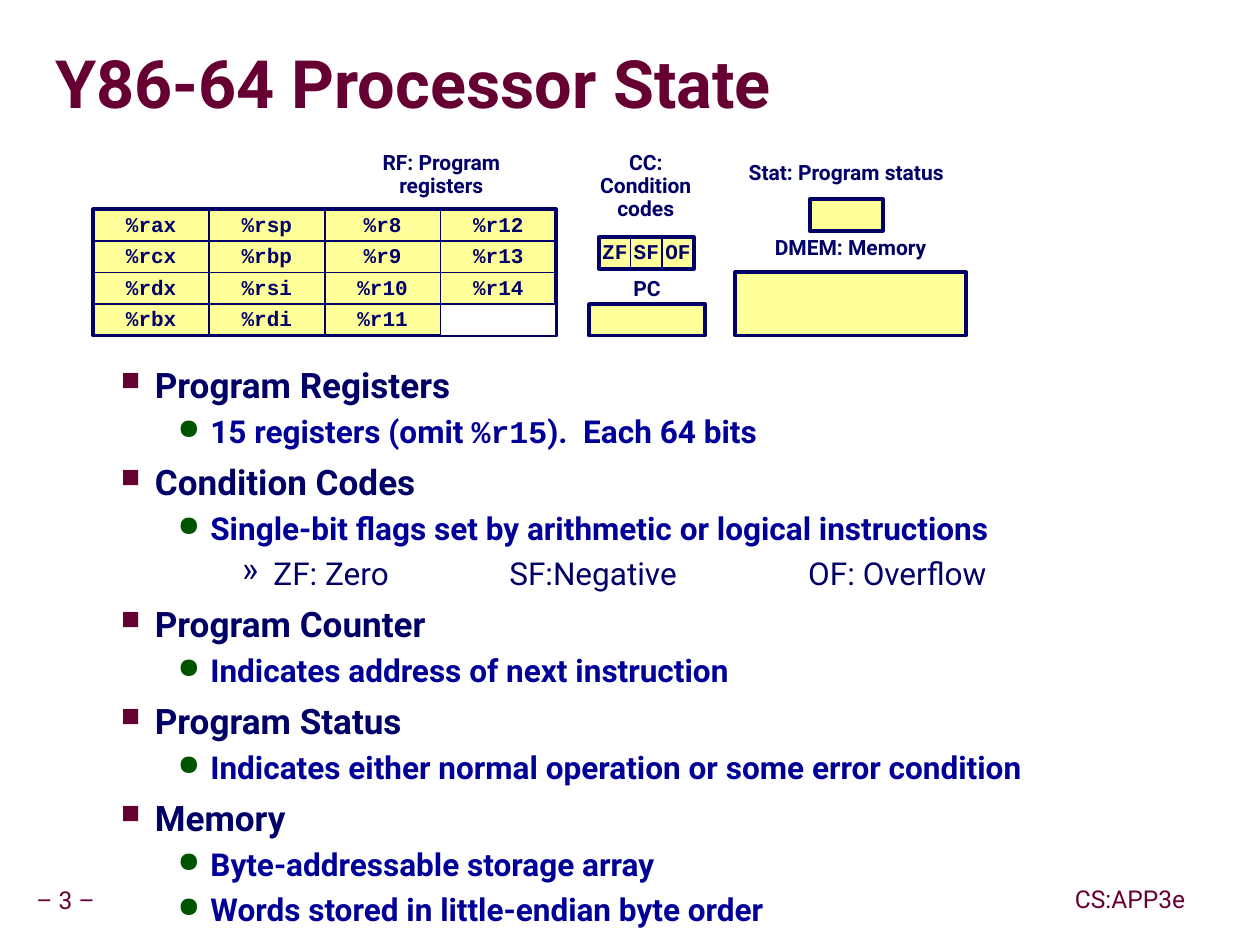
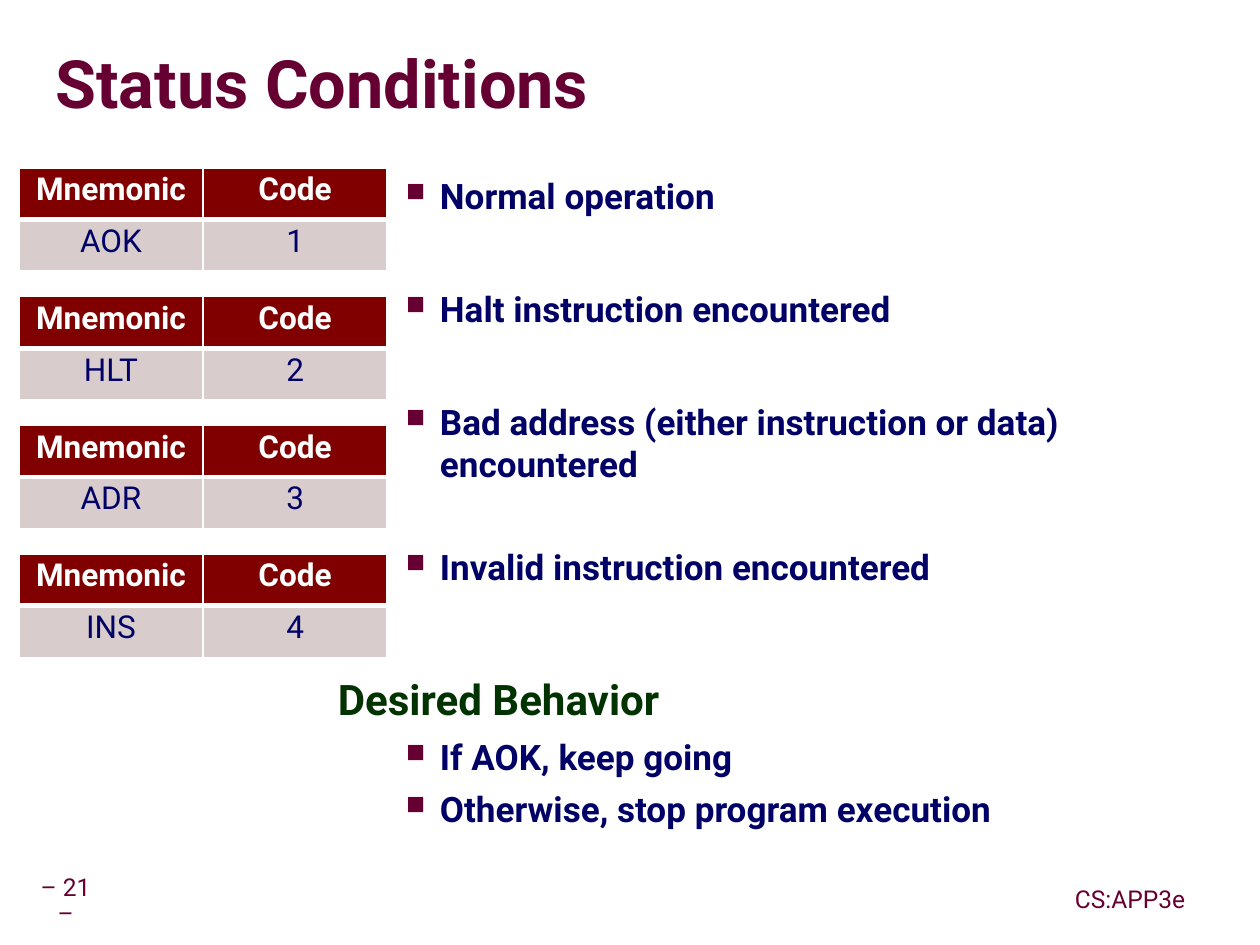
from dataclasses import dataclass
from typing import Any, NamedTuple

from lxml import etree
from pptx import Presentation
from pptx.dml.color import RGBColor
from pptx.enum.shapes import MSO_SHAPE
from pptx.enum.text import MSO_ANCHOR, PP_ALIGN
from pptx.oxml.ns import qn
from pptx.util import Inches, Pt

RECTANGLE = MSO_SHAPE.RECTANGLE
MIDDLE, TOP = MSO_ANCHOR.MIDDLE, MSO_ANCHOR.TOP
CENTER, LEFT = PP_ALIGN.CENTER, PP_ALIGN.LEFT


@dataclass(frozen=True)
class Theme:
    sans: str = "Roboto"
    mono: str = "Courier New"
    maroon: str = "660033"
    navy: str = "000066"
    blue: str = "000099"
    leaf: str = "005400"
    forest: str = "003300"
    white: str = "FFFFFF"
    yellow: str = "FFFF99"
    header: str = "800000"
    row: str = "D8CCCC"
    shadow: str = "969696"
    title_size: float = 38
    heading_size: float = 24
    item_size: float = 20
    detail_size: float = 18
    footer_size: float = 14
    label_size: float = 12


THEME = Theme()


class Frame(NamedTuple):
    left: float
    top: float
    width: float
    height: float

    def lengths(self) -> list[int]:
        return [Inches(value) for value in self]


class TextStyle(NamedTuple):
    size: float
    color: str
    bold: bool = False
    font: str = THEME.sans
    spacing: float = 0.9
    align: Any = CENTER


class Level(NamedTuple):
    style: TextStyle
    before: float
    margin: float = 0
    indent: float = 0
    bullet: str = ""
    bullet_color: str = THEME.navy
    bullet_percent: int = 100


class Item(NamedTuple):
    level: Level
    text: str
    code: str = ""
    rest: str = ""
    before: float | None = None


class Label(NamedTuple):
    text: str
    frame: Frame


TITLE = TextStyle(THEME.title_size, THEME.maroon, True, spacing=0.87, align=LEFT)
FOOTER = TextStyle(THEME.footer_size, THEME.maroon)
LABEL = TextStyle(THEME.label_size, THEME.navy, True)
CODE = LABEL._replace(font=THEME.mono)
CELL = TextStyle(THEME.detail_size, THEME.navy)
HEADER_CELL = CELL._replace(color=THEME.white, bold=True)

ITEM_STYLE = TextStyle(THEME.item_size, THEME.navy, True, spacing=1.0, align=LEFT)
DETAIL_STYLE = TextStyle(THEME.detail_size, THEME.blue, True, spacing=1.07, align=LEFT)
HEADING = Level(TextStyle(THEME.heading_size, THEME.forest, True, spacing=0.95, align=LEFT), 12)
ITEM = Level(ITEM_STYLE, 5.8, 0.81, -0.27, "■", THEME.maroon, 75)
DETAIL = Level(DETAIL_STYLE, 2.4, 1.25, -0.26, "●", THEME.leaf, 90)
NOTE = Level(ITEM_STYLE._replace(size=THEME.detail_size, bold=False), 4.2, 1.75, -0.25, "»")

# Content of the processor state slide
REGISTERS = [
    ["%rax", "%rcx", "%rdx", "%rbx"],
    ["%rsp", "%rbp", "%rsi", "%rdi"],
    ["%r8", "%r9", "%r10", "%r11"],
    ["%r12", "%r13", "%r14", ""],
]
REGISTER_FILE = Frame(0.74, 1.66, 3.67, 1)
FLAGS = ["ZF", "SF", "OF"]
FLAG_BOX = Frame(4.75, 1.88, 0.75, 0.25)
STATE_BOXES = [
    Frame(4.67, 2.41, 0.92, 0.25),
    Frame(5.83, 2.16, 1.83, 0.5),
    Frame(6.42, 1.58, 0.58, 0.25),
]
STATE_LABELS = [
    Label("RF: Program registers", Frame(2.7, 1.16, 1.6, 0.5)),
    Label("CC: Condition codes", Frame(4.58, 1.16, 1.08, 0.65)),
    Label("PC", Frame(4.67, 2.16, 0.92, 0.3)),
    Label("DMEM: Memory", Frame(5.83, 1.83, 1.83, 0.3)),
    Label("Stat: Program status", Frame(5.67, 1.24, 2.08, 0.3)),
]
STATE_ITEMS = [
    Item(ITEM, "Program Registers"),
    Item(DETAIL, "15 registers (omit ", "%r15", ").  Each 64 bits"),
    Item(ITEM, "Condition Codes"),
    Item(DETAIL, "Single-bit flags set by arithmetic or logical instructions"),
    Item(NOTE, "ZF: Zero\tSF:Negative\tOF: Overflow"),
    Item(ITEM, "Program Counter"),
    Item(DETAIL, "Indicates address of next instruction"),
    Item(ITEM, "Program Status"),
    Item(DETAIL, "Indicates either normal operation or some error condition"),
    Item(ITEM, "Memory"),
    Item(DETAIL, "Byte-addressable storage array"),
    Item(DETAIL, "Words stored in little-endian byte order"),
]
NOTE_TABS = [3.62, 5.99]

# Content of the status conditions slide
STATUS_CODES = ["AOK", "HLT", "ADR", "INS"]
STATUS_TABLE = Frame(0.15, 1.33, 2.92, 0.82)
STATUS_STEP = 1.02
STATUS_ITEMS = [
    Item(ITEM, "Normal operation"),
    Item(ITEM, "Halt instruction encountered", before=40.5),
    Item(ITEM, "Bad address (either instruction or data) encountered", before=40.5),
    Item(ITEM, "Invalid instruction encountered", before=35),
    Item(HEADING, "Desired Behavior", before=51),
    Item(ITEM, "If AOK, keep going"),
    Item(ITEM, "Otherwise, stop program execution"),
]


def set_format(target: Any, values: dict[str, Any]) -> None:
    for name, value in values.items():
        setattr(target, name, value)


def add_element(parent: Any, tag: str, **attributes: Any) -> Any:
    return etree.SubElement(parent, qn(tag), {name: str(value) for name, value in attributes.items()})


def add_span(para: Any, text: str, style: TextStyle) -> Any:
    span = para.add_run()
    span.text = text
    set_format(span.font, {"name": style.font, "size": Pt(style.size), "bold": style.bold})
    span.font.color.rgb = RGBColor.from_string(style.color)
    return span


def write_line(frame: Any, text: str, style: TextStyle) -> Any:
    para = frame.paragraphs[0]
    set_format(para, {"alignment": style.align, "line_spacing": style.spacing})
    return add_span(para, text, style)


def add_text_box(page: Any, frame: Frame, anchor: Any = TOP,
                 inset: tuple[float, float] = (0.1, 0.05)) -> Any:
    text_frame = page.shapes.add_textbox(*frame.lengths()).text_frame
    across, down = (Inches(value) for value in inset)
    set_format(text_frame, {
        "word_wrap": True, "vertical_anchor": anchor,
        "margin_left": across, "margin_right": across,
        "margin_top": down, "margin_bottom": down,
    })
    return text_frame


def add_box(page: Any, frame: Frame, fill: str = "", weight: float = 2.25, text: str = "") -> None:
    box = page.shapes.add_shape(RECTANGLE, *frame.lengths())
    box.shadow.inherit = False
    if fill:
        box.fill.solid()
        box.fill.fore_color.rgb = RGBColor.from_string(fill)
    else:
        box.fill.background()
    box.line.color.rgb = RGBColor.from_string(THEME.navy)
    box.line.width = Pt(weight)
    if text:
        set_format(box.text_frame, {"word_wrap": False, "vertical_anchor": MIDDLE})
        write_line(box.text_frame, text, CODE)


def add_items(page: Any, frame: Frame, items: list[Item]) -> None:
    text_frame = add_text_box(page, frame)
    for index, item in enumerate(items):
        level = item.level
        para = text_frame.add_paragraph() if index else text_frame.paragraphs[0]
        properties = para._p.get_or_add_pPr()
        properties.set("marL", str(Inches(level.margin)))
        properties.set("indent", str(Inches(level.indent)))
        if level.bullet:
            add_element(add_element(properties, "a:buClr"), "a:srgbClr", val=level.bullet_color)
            add_element(properties, "a:buSzPct", val=level.bullet_percent * 1000)
            add_element(properties, "a:buChar", char=level.bullet)
        if "\t" in item.text:
            tabs = add_element(properties, "a:tabLst")
            for position in NOTE_TABS:
                add_element(tabs, "a:tab", pos=Inches(position), algn="l")
        before = level.before if item.before is None else item.before
        set_format(para, {
            "alignment": level.style.align, "line_spacing": level.style.spacing,
            "space_before": Pt(before if index else 0),
        })
        add_span(para, item.text, level.style)
        if item.code:
            add_span(para, item.code, level.style._replace(font=THEME.mono))
            add_span(para, item.rest, level.style)


def add_page(deck: Any, title: str, number: int) -> Any:
    page = deck.slides.add_slide(deck.slide_layouts[6])
    # Footers
    number_box = add_text_box(page, Frame(0.23, 6.99, 0.58, 0.31), MIDDLE, (0.05, 0.05))
    write_line(number_box, f"– {number} –", FOOTER)
    course_box = add_text_box(page, Frame(8.44, 6.98, 1.04, 0.32), MIDDLE, (0.05, 0.05))
    write_line(course_box, "CS:APP3e", FOOTER)
    # Title with a text shadow
    title_box = add_text_box(page, Frame(0.44, 0.27, 9.52, 0.85), MIDDLE, (0, 0))
    span = write_line(title_box, title, TITLE)
    effects = etree.Element(qn("a:effectLst"))
    shadow = add_element(effects, "a:outerShdw", dist=Inches(0.04), dir=2700000)
    add_element(shadow, "a:srgbClr", val=THEME.shadow)
    span.font._element.find(qn("a:solidFill")).addnext(effects)
    return page


def add_cells(page: Any, area: Frame, columns: list[list[str]]) -> None:
    width, height = area.width / len(columns), area.height / len(columns[0])
    for column, names in enumerate(columns):
        for row, name in enumerate(names):
            frame = Frame(area.left + column * width, area.top + row * height, width, height)
            add_box(page, frame, "" if name else THEME.white, 1, name)


def add_status_table(page: Any, frame: Frame, rows: list[list[str]]) -> None:
    table = page.shapes.add_table(len(rows), len(rows[0]), *frame.lengths()).table
    table.horz_banding = False
    for row, texts in enumerate(rows):
        style, fill = (CELL, THEME.row) if row else (HEADER_CELL, THEME.header)
        thick_side = "T" if row else "B"
        for column, text in enumerate(texts):
            cell = table.cell(row, column)
            properties = cell._tc.get_or_add_tcPr()
            for side in "LRTB":
                weight = 3 if side == thick_side else 1
                line = add_element(properties, f"a:ln{side}", w=Pt(weight))
                add_element(add_element(line, "a:solidFill"), "a:srgbClr", val=THEME.white)
            cell.fill.solid()
            cell.fill.fore_color.rgb = RGBColor.from_string(fill)
            write_line(cell.text_frame, text, style)


def add_state_page(deck: Any) -> None:
    page = add_page(deck, "Y86-64 Processor State", 3)
    add_items(page, Frame(0.32, 2.83, 9.07, 4.2), STATE_ITEMS)
    # Registers, flags and memory
    for area, columns in ((REGISTER_FILE, REGISTERS), (FLAG_BOX, [[flag] for flag in FLAGS])):
        add_box(page, area, THEME.yellow)
        add_cells(page, area, columns)
    for frame in STATE_BOXES:
        add_box(page, frame, THEME.yellow)
    for label in STATE_LABELS:
        write_line(add_text_box(page, label.frame), label.text, LABEL)


def add_status_page(deck: Any) -> None:
    page = add_page(deck, "Status Conditions", 21)
    for index, mnemonic in enumerate(STATUS_CODES):
        frame = STATUS_TABLE._replace(top=STATUS_TABLE.top + index * STATUS_STEP)
        add_status_table(page, frame, [["Mnemonic", "Code"], [mnemonic, str(index + 1)]])
    add_items(page, Frame(2.58, 1.33, 6.81, 5.7), STATUS_ITEMS)


def main() -> None:
    deck = Presentation()
    set_format(deck, {"slide_width": Inches(9.99), "slide_height": Inches(7.49)})
    add_state_page(deck)
    add_status_page(deck)
    deck.save("out.pptx")


if __name__ == "__main__":
    main()
